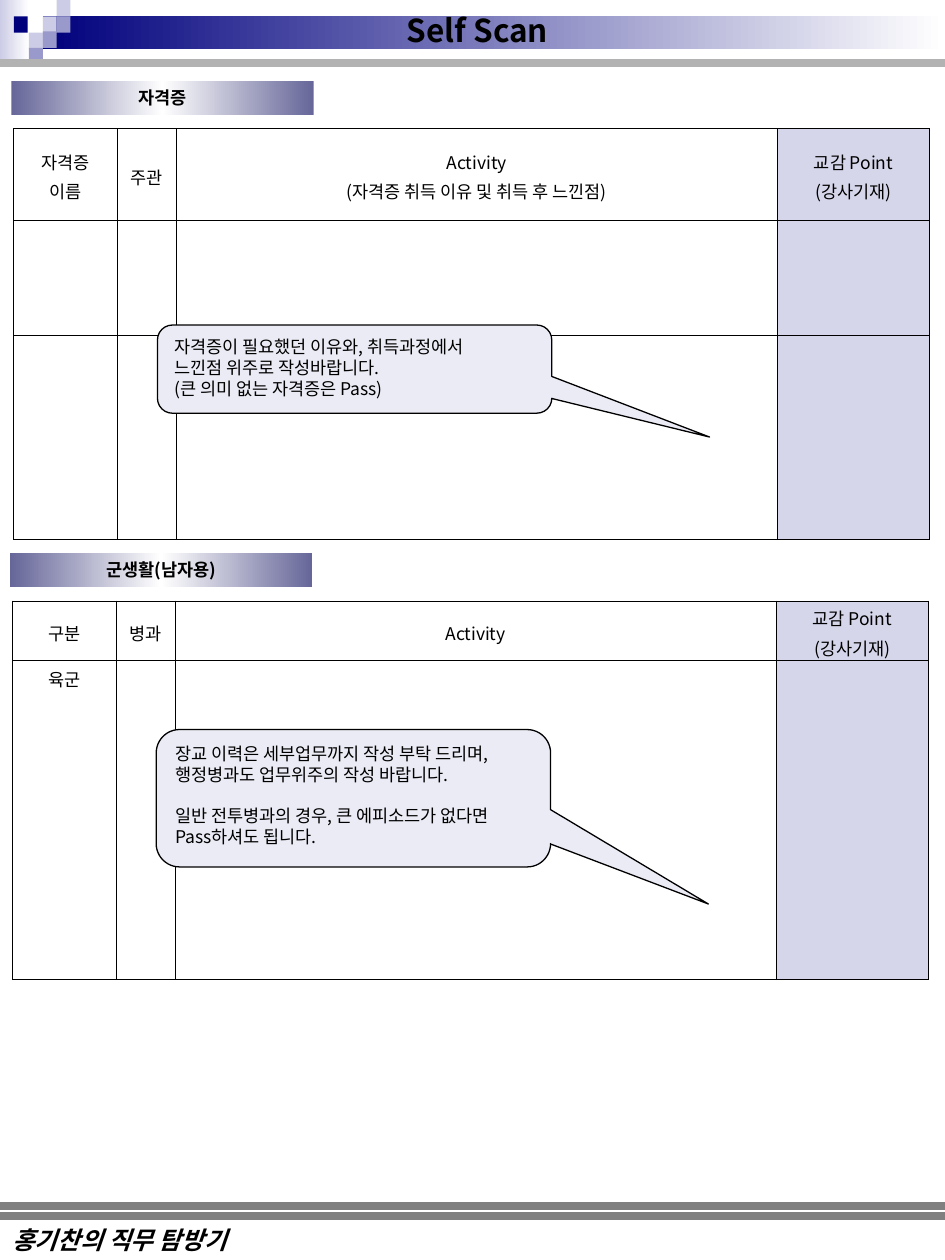
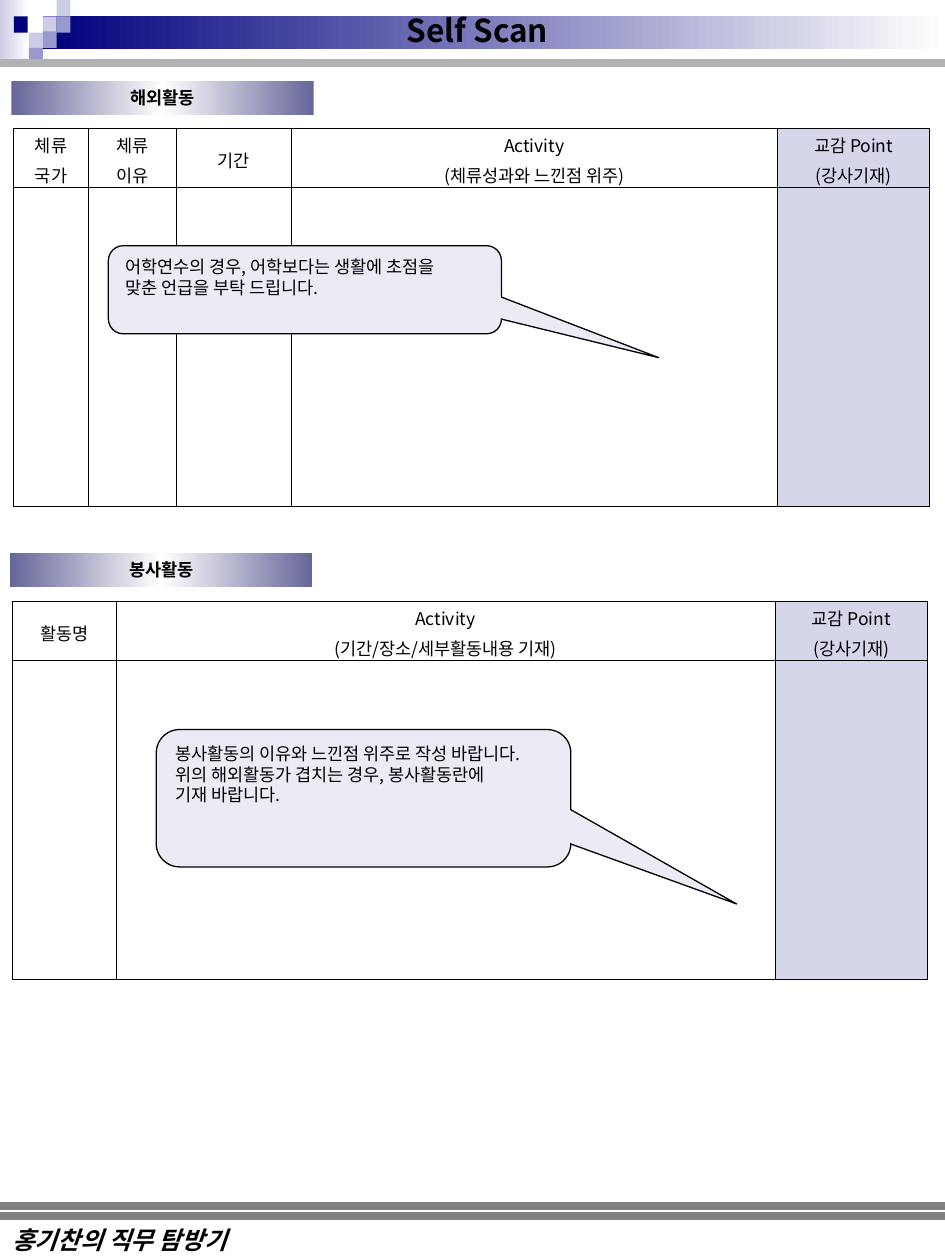
from lxml.etree import SubElement
from pptx import Presentation
from pptx.dml.color import RGBColor
from pptx.enum.shapes import MSO_CONNECTOR, MSO_SHAPE
from pptx.enum.text import MSO_ANCHOR, PP_ALIGN
from pptx.oxml.ns import qn
from pptx.util import Inches, Pt

BLACK = RGBColor(0x00, 0x00, 0x00)
WHITE = RGBColor(0xFF, 0xFF, 0xFF)
NAVY = RGBColor(0x00, 0x00, 0x7D)
PALE = RGBColor(0xCC, 0xCC, 0xE6)
LILAC = RGBColor(0x99, 0x99, 0xCC)
SLATE = RGBColor(0x66, 0x66, 0x99)
POINT = RGBColor(0xD6, 0xD6, 0xEB)
NOTE = RGBColor(0xEB, 0xEB, 0xF5)
SILVER = RGBColor(0xB2, 0xB2, 0xB2)
GRAY = RGBColor(0x80, 0x80, 0x80)
FONT = "Noto Sans CJK KR"


def write(frame, text, size=10, font=FONT, bold=False, slant=False,
          align=PP_ALIGN.LEFT, wrap=True, lead=1.2, before=0):
    """Fill a text frame, one paragraph a line; a blank line becomes a gap."""
    frame.word_wrap = wrap
    gap = before
    first = True
    for line in text.split("\n"):
        if not line:
            gap += size * lead
            continue
        para = frame.paragraphs[0] if first else frame.add_paragraph()
        first = False
        para.alignment = align
        para.space_before = Pt(gap)
        para.line_spacing = Pt(size * lead)
        gap = before
        run = para.add_run()
        run.text = line
        run.font.size = Pt(size)
        run.font.name = font
        run.font.bold = bold
        run.font.italic = slant
        run.font.color.rgb = BLACK
        SubElement(run.font._element, qn("a:ea")).set("typeface", FONT)


def box(slide, place, *fills, kind=MSO_SHAPE.RECTANGLE):
    """Add a shape with a plain fill, or a left-to-right gradient of several."""
    shape = slide.shapes.add_shape(kind, *[Inches(n) for n in place])
    shape.shadow.inherit = False
    shape.line.fill.background()
    shape.text_frame.vertical_anchor = MSO_ANCHOR.TOP
    if len(fills) == 1:
        shape.fill.solid()
        shape.fill.fore_color.rgb = fills[0]
        return shape
    shape.fill.gradient()
    shape.fill.gradient_angle = 0
    stops = shape._element.spPr.find(".//" + qn("a:gsLst"))
    stops.clear()
    for i, color in enumerate(fills):
        stop = SubElement(stops, qn("a:gs"), pos=str(100000 * i // (len(fills) - 1)))
        SubElement(stop, qn("a:srgbClr"), val=str(color))
    return shape


# Shared parts: header tiles and rules
TILES = [
    (0.34, 0.13, PALE), (0.45, 0, PALE), (0.45, 0.13, LILAC),
    (0.23, 0.26, PALE), (0.11, 0.13, NAVY), (0.34, 0.25, LILAC),
    (0.23, 0.38, LILAC),
]
RULES = [(0.5, SILVER), (9.65, GRAY), (9.57, GRAY)]
LAST = "교감 Point\n(강사기재)"

# Upper and lower section of each page: left edge and badge top
SPOTS = [(0.09, 0.64), (0.08, 4.39)]

# Section: title, column widths, row heights, cell rows, callout place and text
PAGES = [
    [
        ("자격증", [0.82, 0.47, 4.77, 1.21], [0.73, 0.91, 1.62],
         [["자격증\n이름", "주관",
           "Activity\n(자격증 취득 이유 및 취득 후 느낀점)", LAST]],
         (1.25, 2.58, 3.13, 0.7),
         "자격증이 필요했던 이유와, 취득과정에서\n느낀점 위주로 작성바랍니다.\n"
         "(큰 의미 없는 자격증은 Pass)"),
        ("군생활(남자용)", [0.82, 0.47, 4.77, 1.21], [0.47, 2.53],
         [["구분", "병과", "Activity", LAST], ["육군"]],
         (1.24, 5.79, 3.13, 1.09),
         "장교 이력은 세부업무까지 작성 부탁 드리며,\n"
         "행정병과도 업무위주의 작성 바랍니다.\n\n"
         "일반 전투병과의 경우, 큰 에피소드가 없다면\nPass하셔도 됩니다."),
    ],
    [
        ("해외활동", [0.59, 0.7, 0.91, 3.86, 1.21], [0.47, 2.53],
         [["체류\n국가", "체류\n이유", "기간",
           "Activity\n(체류성과와 느낀점 위주)", LAST]],
         (0.86, 1.95, 3.12, 0.7),
         "어학연수의 경우, 어학보다는 생활에 초점을\n맞춘 언급을 부탁 드립니다."),
        ("봉사활동", [0.82, 5.23, 1.21], [0.47, 2.53],
         [["활동명", "Activity\n(기간/장소/세부활동내용 기재)", LAST]],
         (1.24, 5.79, 3.29, 1.09),
         "봉사활동의 이유와 느낀점 위주로 작성 바랍니다.\n"
         "위의 해외활동가 겹치는 경우, 봉사활동란에\n기재 바랍니다."),
    ],
]

deck = Presentation()
deck.slide_width = Inches(7.5)
deck.slide_height = Inches(10)

for page in PAGES:
    slide = deck.slides.add_slide(deck.slide_layouts[6])

    # Header band
    box(slide, (0, 0, 0.23, 0.5), PALE, WHITE)
    box(slide, (0.34, 0.13, 7.16, 0.26), NAVY, WHITE)
    for x, y, color in TILES:
        box(slide, (x, y, 0.11, 0.13), color)

    # Rules
    for y, color in RULES:
        rule = slide.shapes.add_connector(
            MSO_CONNECTOR.STRAIGHT, 0, Inches(y), Inches(7.5), Inches(y))
        rule.line.color.rgb = color
        rule.line.width = Pt(4.5)
        SubElement(rule._element.spPr, qn("a:effectLst"))

    # Footer and title
    foot = slide.shapes.add_textbox(0, Inches(9.67), Inches(3.44), Inches(0.34))
    write(foot.text_frame, "홍기찬의 직무 탐방기", size=14,
          font="Times New Roman", bold=True, slant=True)
    title = slide.shapes.add_textbox(
        Inches(3.13), Inches(0.04), Inches(1.34), Inches(0.4))
    write(title.text_frame, "Self Scan", size=18, bold=True, wrap=False)

    for (left, top), (name, cols, rows, cells, place, hint) in zip(SPOTS, page):
        # Section badge
        badge = box(slide, (left, top, 2.4, 0.27), SLATE, WHITE, SLATE)
        write(badge.text_frame, name, bold=True, align=PP_ALIGN.CENTER)

        # Form table
        grid = slide.shapes.add_table(
            len(rows), len(cols), Inches(left + 0.02), Inches(top + 0.38),
            Inches(sum(cols)), Inches(sum(rows))).table
        grid.first_row = False
        grid.horz_banding = False
        for i, wide in enumerate(cols):
            grid.columns[i].width = Inches(wide)
        for r, high in enumerate(rows):
            grid.rows[r].height = Inches(high)
            for c in range(len(cols)):
                cell = grid.cell(r, c)
                props = cell._tc.get_or_add_tcPr()
                for side in ("lnL", "lnR", "lnT", "lnB"):
                    edge = SubElement(props, qn("a:" + side), w=str(Pt(0.45)))
                    ink = SubElement(edge, qn("a:solidFill"))
                    SubElement(ink, qn("a:srgbClr"), val=str(BLACK))
                if c == len(cols) - 1:
                    cell.fill.solid()
                    cell.fill.fore_color.rgb = POINT
                else:
                    cell.fill.background()
                if r == 0:
                    cell.vertical_anchor = MSO_ANCHOR.MIDDLE
                    cell.margin_top = Inches(0.03)
                    cell.margin_bottom = 0
                if r < len(cells) and c < len(cells[r]):
                    write(cell.text_frame, cells[r][c], align=PP_ALIGN.CENTER,
                          lead=1.45, before=2.5)

        # Callout with the writing hint
        note = box(slide, place, NOTE, kind=MSO_SHAPE.ROUNDED_RECTANGULAR_CALLOUT)
        for i, value in enumerate((0.9, 0.77, 0.17)):
            note.adjustments[i] = value
        note.line.color.rgb = BLACK
        note.line.width = Pt(0.75)
        write(note.text_frame, hint)

deck.save("out.pptx")
